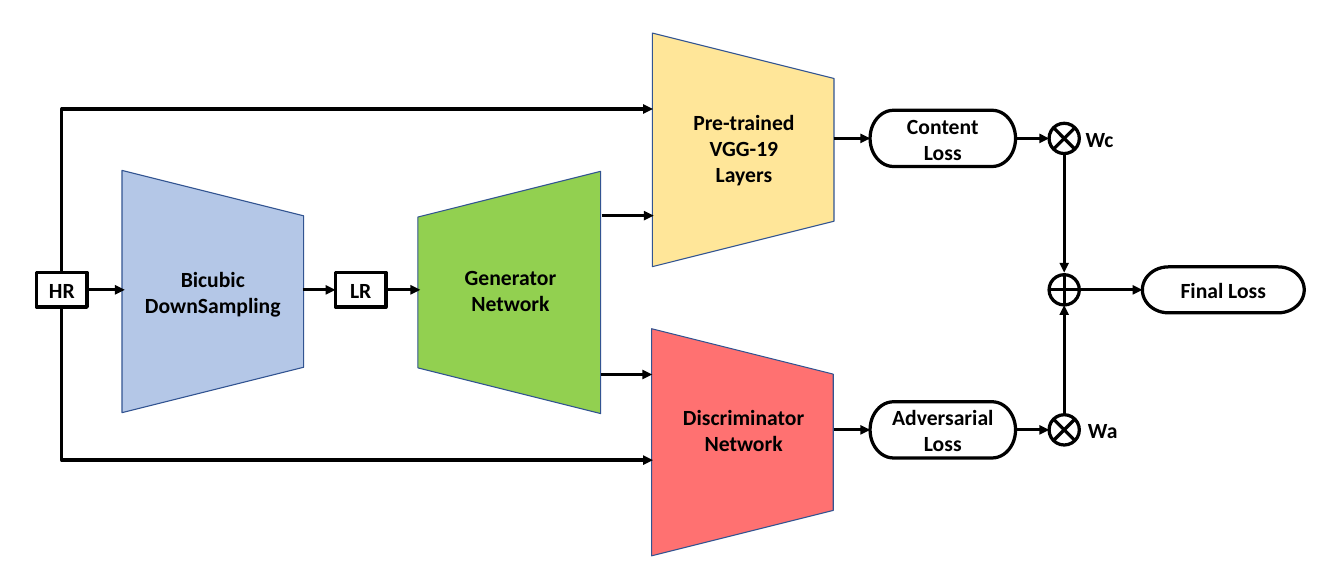
from lxml.etree import SubElement
from pptx import Presentation
from pptx.dml.color import RGBColor
from pptx.enum.shapes import MSO_CONNECTOR as Connector, MSO_SHAPE as Shape
from pptx.enum.text import MSO_ANCHOR as Anchor, PP_ALIGN as Align
from pptx.oxml.ns import qn
from pptx.util import Pt

BLACK, WHITE, BLOCK_LINE = "000000", "FFFFFF", "325491"
TOP_ROW, MIDDLE_ROW, BOTTOM_ROW = 128, 268, 397.5
LOSS_X, JUNCTION_X = 872.3, 984.6
TOP, LEFT, BOTTOM, RIGHT = range(4)

BLOCKS = [
    (686.9, 409, 210, 168, 90, "FF7171"),
    (687.6, 138.6, 216, 168, 90, "FFE699"),
    (471.2, 270.4, 224, 169, 270, "92D050"),
    (196.9, 269.6, 224, 168, 90, "B4C7E7"),
]

BLOCK_LABELS = [
    (472.3, 268.2, ["Generator", "Network"]),
    (688, 397.8, ["Discriminator", "Network"]),
    (688.3, 136.4, ["Pre-trained", "VGG-19", "Layers"]),
    (196.9, 269.6, ["Bicubic", "DownSampling"]),
]

WEIGHTS = [(1004.4, TOP_ROW, "Wc"), (1006.6, BOTTOM_ROW, "Wa")]

NODES = [
    ("HR", Shape.RECTANGLE, 57.2, MIDDLE_ROW, 46.8, 32),
    ("LR", Shape.RECTANGLE, 333.7, MIDDLE_ROW, 46.8, 32),
    ("Content Loss", Shape.FLOWCHART_TERMINATOR, LOSS_X, TOP_ROW, 134.6, 52),
    ("Adversarial Loss", Shape.FLOWCHART_TERMINATOR, LOSS_X, BOTTOM_ROW, 134.6, 52),
    ("Final Loss", Shape.FLOWCHART_TERMINATOR, 1131.8, MIDDLE_ROW, 149.8, 42.5),
]

JUNCTIONS = [
    (Shape.FLOWCHART_OR, MIDDLE_ROW),
    (Shape.FLOWCHART_SUMMING_JUNCTION, TOP_ROW),
    (Shape.FLOWCHART_SUMMING_JUNCTION, BOTTOM_ROW),
]

ARROWS = [
    (("HR", RIGHT), (115.4, MIDDLE_ROW)),
    ((280, MIDDLE_ROW), ("LR", LEFT)),
    (("LR", RIGHT), (388.8, MIDDLE_ROW)),
    ((556.5, 199.4), (604.8, 199.4)),
    ((556, 346.3), (603.4, 346.3)),
    ((771.2, TOP_ROW), ("Content Loss", LEFT)),
    ((771.2, BOTTOM_ROW), ("Adversarial Loss", LEFT)),
    (("Content Loss", RIGHT), (970.6, TOP_ROW)),
    (("Adversarial Loss", RIGHT), (970.6, BOTTOM_ROW)),
    ((JUNCTION_X, 142), (JUNCTION_X, 252)),
    ((JUNCTION_X, 383.5), (JUNCTION_X, 282.2)),
    ((1000, MIDDLE_ROW), ("Final Loss", LEFT)),
]

BENT_ARROWS = [((604.1, 100.8), ("HR", TOP)), ((604.1, 425.5), ("HR", BOTTOM))]


def color(value):
    return RGBColor.from_string(value)


def set_line(line, value, width):
    line.color.rgb = color(value)
    line.width = Pt(width)


def write(frame, lines, align, side=0, edge=0):
    frame.word_wrap = True
    frame.vertical_anchor = Anchor.MIDDLE
    frame.margin_left = frame.margin_right = Pt(side)
    frame.margin_top = frame.margin_bottom = Pt(edge)
    for index, line in enumerate(lines):
        paragraph = frame.add_paragraph() if index else frame.paragraphs[0]
        paragraph.text = line
        paragraph.alignment = align
        paragraph.font.name = "Calibri"
        paragraph.font.size = Pt(20)
        paragraph.font.bold = True
        paragraph.font.color.rgb = color(BLACK)


def box(x, y, width, height):
    return Pt(x - width / 2), Pt(y - height / 2), Pt(width), Pt(height)


def add_shape(kind, x, y, width, height, fill=WHITE, line=BLACK, line_width=3):
    shape = slide.shapes.add_shape(kind, *box(x, y, width, height))
    shape.shadow.inherit = False
    shape.fill.solid()
    shape.fill.fore_color.rgb = color(fill)
    set_line(shape.line, line, line_width)
    return shape


def locate(end):
    if end[0] not in nodes:
        return Pt(end[0]), Pt(end[1])
    node, side = nodes[end[0]], end[1]
    across = {LEFT: 0, RIGHT: 2}.get(side, 1)
    down = {TOP: 0, BOTTOM: 2}.get(side, 1)
    return node.left + node.width * across // 2, node.top + node.height * down // 2


def add_arrow(kind, start, finish, arrowhead):
    connector = slide.shapes.add_connector(kind, *locate(start), *locate(finish))
    if start[0] in nodes:
        connector.begin_connect(nodes[start[0]], start[1])
    if finish[0] in nodes:
        connector.end_connect(nodes[finish[0]], finish[1])
    set_line(connector.line, BLACK, 3)
    properties = connector.element.spPr
    SubElement(properties.find(qn("a:ln")), qn(arrowhead), type="triangle")
    SubElement(properties, qn("a:effectLst"))
    return connector


presentation = Presentation()
presentation.slide_width, presentation.slide_height = Pt(1243.44), Pt(540)
slide = presentation.slides.add_slide(presentation.slide_layouts[6])

for x, y, length, depth, rotation, fill in BLOCKS:
    block = add_shape(Shape.TRAPEZOID, x, y, length, depth, fill, BLOCK_LINE, 1)
    block.rotation = rotation

for x, y, lines in BLOCK_LABELS:
    label = slide.shapes.add_textbox(*box(x, y, 140, 24 * len(lines)))
    write(label.text_frame, lines, Align.CENTER)

nodes = {}
for name, kind, *place in NODES:
    nodes[name] = add_shape(kind, *place)
    write(nodes[name].text_frame, [name], Align.CENTER, 9.4, 4.5)

for kind, y in JUNCTIONS:
    add_shape(kind, JUNCTION_X, y, 28, 28)

for x, y, name in WEIGHTS:
    label = slide.shapes.add_textbox(Pt(x), Pt(y - 12), Pt(36), Pt(24))
    write(label.text_frame, [name], Align.LEFT)

for start, finish in ARROWS:
    add_arrow(Connector.STRAIGHT, start, finish, "a:tailEnd")

for target, source in BENT_ARROWS:
    connector = add_arrow(Connector.ELBOW, target, source, "a:headEnd")
    connector.element.spPr.find(qn("a:prstGeom")).set("prst", "bentConnector2")

presentation.save("out.pptx")
